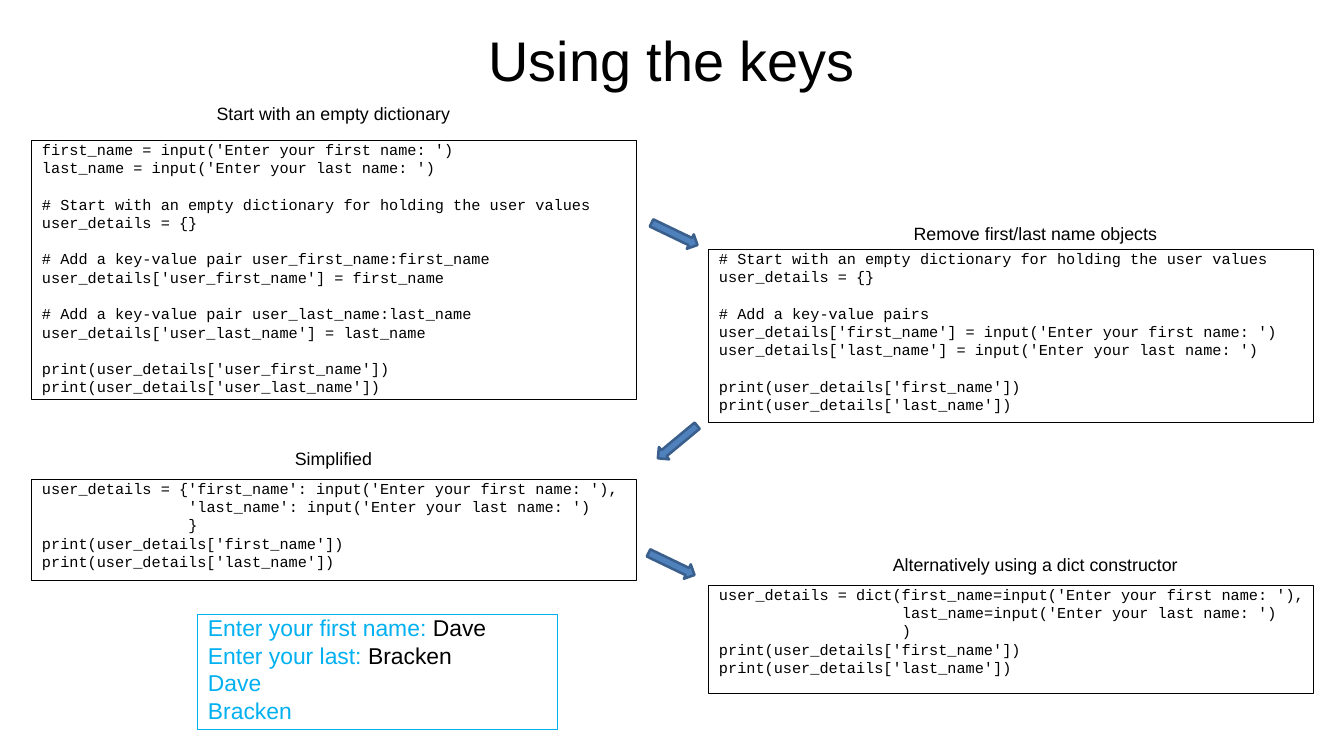
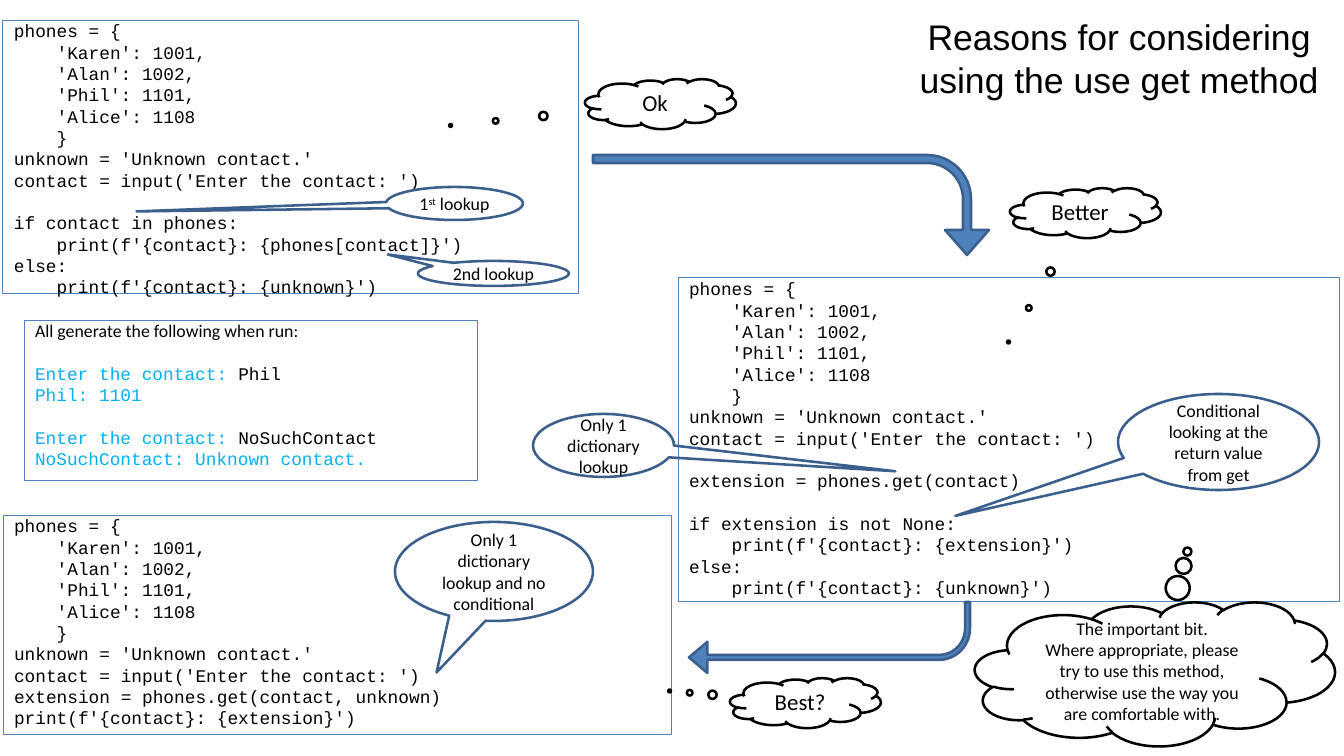
from dataclasses import dataclass

import pptx
import pptx.dml.color
import pptx.enum.shapes
import pptx.enum.text
import pptx.util

PX = 10000  # EMU in one px
SHAPES = pptx.enum.shapes.MSO_SHAPE
ALIGN = pptx.enum.text.PP_ALIGN
ANCHOR = pptx.enum.text.MSO_ANCHOR


@dataclass(frozen=True)
class Style:
    font: str
    size: int
    color: str


@dataclass(frozen=True)
class Theme:
    ink: str = "000000"
    output: str = "00B0F0"
    blue: str = "4F81BD"
    outline: str = "3A5F8C"
    sans: str = "Arial"
    note: str = "Calibri"
    mono: str = "Courier New"
    title: int = 44
    subtitle: int = 28
    large: int = 18
    body: int = 14
    small: int = 12
    line_height: float = 1.2
    mono_advance: float = 0.6
    hairline: float = 0.25
    thin: float = 0.75
    thick: float = 2


THEME = Theme()
TITLE = Style(THEME.sans, THEME.title, THEME.ink)
SUBTITLE = Style(THEME.sans, THEME.subtitle, THEME.ink)
CAPTION = Style(THEME.sans, THEME.body, THEME.ink)
SMALL_CODE = Style(THEME.mono, THEME.small, THEME.ink)
CODE = Style(THEME.mono, THEME.body, THEME.ink)
SANS_OUTPUT = Style(THEME.sans, THEME.large, THEME.output)
MONO_OUTPUT = Style(THEME.mono, THEME.body, THEME.output)
NOTE = Style(THEME.note, THEME.body, THEME.ink)
THOUGHT = Style(THEME.note, THEME.large, THEME.ink)

PADDING = 11

# Code shown on the slides
EMPTY_DICTIONARY = """first_name = input('Enter your first name: ')
last_name = input('Enter your last name: ')

# Start with an empty dictionary for holding the user values
user_details = {}

# Add a key-value pair user_first_name:first_name
user_details['user_first_name'] = first_name

# Add a key-value pair user_last_name:last_name
user_details['user_last_name'] = last_name

print(user_details['user_first_name'])
print(user_details['user_last_name'])"""

PRINT_NAMES = """
print(user_details['first_name'])
print(user_details['last_name'])"""

NO_NAME_OBJECTS = """# Start with an empty dictionary for holding the user values
user_details = {}

# Add a key-value pairs
user_details['first_name'] = input('Enter your first name: ')
user_details['last_name'] = input('Enter your last name: ')
""" + PRINT_NAMES

SIMPLIFIED = """user_details = {'first_name': input('Enter your first name: '),
                'last_name': input('Enter your last name: ')
                }""" + PRINT_NAMES

CONSTRUCTOR = """user_details = dict(first_name=input('Enter your first name: '),
                    last_name=input('Enter your last name: ')
                    )""" + PRINT_NAMES

PHONES = """phones = {
    'Karen': 1001,
    'Alan': 1002,
    'Phil': 1101,
    'Alice': 1108
    }
unknown = 'Unknown contact.'
contact = input('Enter the contact: ')
"""

PRINT_UNKNOWN = """
else:
    print(f'{contact}: {unknown}')"""

TWO_LOOKUPS = PHONES + """
if contact in phones:
    print(f'{contact}: {phones[contact]}')""" + PRINT_UNKNOWN

ONE_LOOKUP = PHONES + """
extension = phones.get(contact)

if extension is not None:
    print(f'{contact}: {extension}')""" + PRINT_UNKNOWN

NO_CONDITIONAL = PHONES + """extension = phones.get(contact, unknown)
print(f'{contact}: {extension}')"""

# A bar divides a prompt from the typed answer
NAMES_OUTPUT = """Enter your first name: |Dave
Enter your last: |Bracken
Dave
Bracken"""

CONTACT_OUTPUT = """
Enter the contact: |Phil
Phil: 1101

Enter the contact: |NoSuchContact
NoSuchContact: Unknown contact."""


# Shared helpers
def rgb(color):
    return pptx.dml.color.RGBColor.from_string(color)


def emu(box):
    return [round(length * PX) for length in box]


def write(shape, text, style, align=ALIGN.LEFT, padding=0):
    """Append lines; an empty line becomes space before the next one."""
    frame = shape.text_frame
    pitch = pptx.util.Pt(style.size * THEME.line_height)
    advance = pptx.util.Pt(style.size * THEME.mono_advance)
    gap = 0
    for line in text.split("\n"):
        if not line:
            gap += pitch
            continue
        paragraph = frame.paragraphs[0]
        if paragraph.runs:
            paragraph = frame.add_paragraph()
        content = line.lstrip(" ")
        indent = padding * PX + (len(line) - len(content)) * advance
        properties = paragraph._p.get_or_add_pPr()
        properties.set("marL", str(indent))
        properties.set("indent", "0")
        paragraph.alignment = align
        paragraph.line_spacing = pitch
        paragraph.space_before = pptx.util.Emu(gap)
        paragraph.font.name = style.font
        paragraph.font.size = pptx.util.Pt(style.size)
        paragraph.font.color.rgb = rgb(style.color)
        prompt, _, answer = content.partition("|")
        paragraph.add_run().text = prompt
        if answer:
            typed = paragraph.add_run()
            typed.text = answer
            typed.font.color.rgb = rgb(THEME.ink)
        gap = 0


def clear_margins(frame):
    frame.margin_left = frame.margin_right = 0
    frame.margin_top = frame.margin_bottom = 0


def add_label(slide, box, text, style):
    label = slide.shapes.add_textbox(*emu(box))
    frame = label.text_frame
    frame.word_wrap = True
    frame.vertical_anchor = ANCHOR.MIDDLE
    clear_margins(frame)
    write(label, text, style, ALIGN.CENTER)


def add_outlined(slide, kind, box, color, width, adjustments=(), fill=None):
    shape = slide.shapes.add_shape(kind, *emu(box))
    shape.shadow.inherit = False
    if fill:
        shape.fill.solid()
        shape.fill.fore_color.rgb = rgb(fill)
    else:
        shape.fill.background()
    shape.line.color.rgb = rgb(color)
    shape.line.width = pptx.util.Pt(width)
    for index, value in enumerate(adjustments):
        shape.adjustments[index] = value
    return shape


def add_panel(slide, box, color, width, text, style):
    panel = add_outlined(slide, SHAPES.RECTANGLE, box, color, width)
    frame = panel.text_frame
    frame.word_wrap = True
    frame.vertical_anchor = ANCHOR.TOP
    clear_margins(frame)
    write(panel, text, style, padding=PADDING)
    return panel


def add_arrow(slide, kind, box, rotation, adjustments=()):
    arrow = add_outlined(slide, kind, box, THEME.outline, THEME.thick,
                         adjustments, THEME.blue)
    arrow.rotation = rotation


def add_callout(slide, kind, box, tip, text, style, color):
    callout = add_outlined(slide, kind, box, color, THEME.thick, tip)
    callout.text_frame.word_wrap = True
    callout.text_frame.vertical_anchor = ANCHOR.MIDDLE
    write(callout, text, style, ALIGN.CENTER)
    return callout


# Slide regions
def add_step(slide, box, caption, shift, gap, code):
    """A code panel with its caption above it."""
    left, top, width, _ = box
    height = 27
    add_panel(slide, box, THEME.ink, THEME.hairline, code, SMALL_CODE)
    add_label(slide, (left + shift, top - gap - height, width, height),
              caption, CAPTION)


def add_speech(slide, box, tip, text):
    return add_callout(slide, SHAPES.OVAL_CALLOUT, box, tip, text, NOTE,
                       THEME.outline)


def add_cloud(slide, box, tip, text, style=THOUGHT):
    add_callout(slide, SHAPES.CLOUD_CALLOUT, box, tip, text, style, THEME.ink)


def add_ordinal(speech):
    """Extend the figure 1 to a raised ordinal and its noun."""
    paragraph = speech.text_frame.paragraphs[0]
    raised = paragraph.add_run()
    raised.text = "st"
    raised._r.get_or_add_rPr().set("baseline", "30000")
    paragraph.add_run().text = " lookup"


def build_keys_slide(slide):
    add_label(slide, (67, 30, 1210, 59), "Using the keys", TITLE)
    for step in (
        ((31, 140, 605, 259), "Start with an empty dictionary", 0, 13, EMPTY_DICTIONARY),
        ((708, 249, 605, 173), "Remove first/last name objects", 25, 2, NO_NAME_OBJECTS),
        ((31, 479, 605, 101), "Simplified", 0, 7, SIMPLIFIED),
        ((708, 585, 605, 108), "Alternatively using a dict constructor", 25, 7, CONSTRUCTOR),
    ):
        add_step(slide, *step)
    add_panel(slide, (197, 614, 360, 115), THEME.output, THEME.hairline,
              NAMES_OUTPUT, SANS_OUTPUT)
    for left, top, rotation in ((649, 226, 25.7), (652, 434, 140.3), (646, 556, 25.7)):
        add_arrow(slide, SHAPES.RIGHT_ARROW, (left, top, 51, 16), rotation)


def build_get_slide(slide):
    add_label(slide, (903, 11, 432, 93),
              "Reasons for considering using the use get method", SUBTITLE)
    # Three versions of the code
    for box, code in (((3, 20, 576, 273), TWO_LOOKUPS),
                      ((3, 515, 669, 219), NO_CONDITIONAL),
                      ((678, 278, 662, 324), ONE_LOOKUP)):
        add_panel(slide, box, THEME.blue, THEME.thin, code, CODE)
    # What each version prints
    results = add_panel(slide, (24, 320, 453, 161), THEME.blue, THEME.thin,
                        "All generate the following when run:", NOTE)
    write(results, CONTACT_OUTPUT, MONO_OUTPUT, padding=PADDING)
    # Remarks on the lookups
    add_ordinal(add_speech(slide, (386, 187, 137, 33), (-2.32, 0.24), "1"))
    for box, tip, text in (
        ((418, 261, 151, 25), (-0.7, -0.76), "2nd lookup"),
        ((533, 414, 141, 63), (2.07, 0.41), "Only 1 dictionary lookup"),
        ((395, 522, 198, 99), (-0.29, 1.02), "Only 1 dictionary lookup and no conditional"),
        ((1118, 394, 201, 96), (-1.31, 0.77), "Conditional looking at the return value from get"),
    ):
        add_speech(slide, box, tip, text)
    # Path from one version to the next
    add_arrow(slide, SHAPES.BENT_ARROW, (741, 7, 100, 396), 90, (0.08, 0.22, 0.25, 0.44))
    add_arrow(slide, SHAPES.BENT_ARROW, (689, 602, 281, 71), 180, (0.07, 0.22, 0.26, 0.44))
    # Verdicts
    for left, top, tip, verdict in ((585, 79, (-1.39, 0.43), "Ok"),
                                    (1010, 188, (-0.51, 2.58), "Better"),
                                    (730, 678, (-0.9, -0.24), "Best?")):
        add_cloud(slide, (left, top, 151, 50), tip, verdict)
    add_cloud(slide, (975, 602, 360, 144), (0.09, -0.85),
              "The important bit.\nWhere appropriate, please try to use this method, "
              "otherwise use the way you are comfortable with.", NOTE)


def main():
    presentation = pptx.Presentation()
    presentation.slide_width, presentation.slide_height = emu((1344, 756))
    blank = presentation.slide_layouts[6]
    for build in (build_keys_slide, build_get_slide):
        build(presentation.slides.add_slide(blank))
    presentation.save("out.pptx")


if __name__ == "__main__":
    main()
